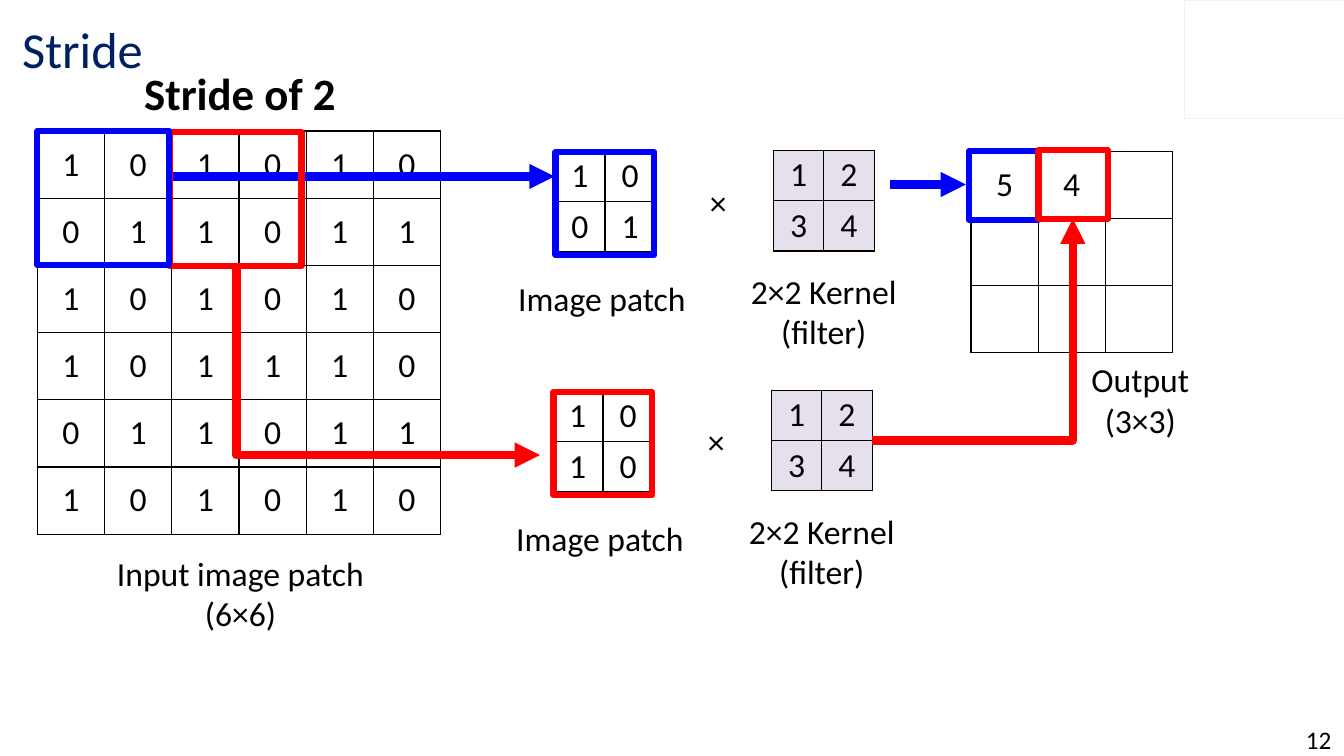
from pptx import Presentation
from pptx.dml.color import RGBColor
from pptx.enum.shapes import MSO_CONNECTOR, MSO_SHAPE
from pptx.enum.text import MSO_ANCHOR, PP_ALIGN
from pptx.oxml import parse_xml
from pptx.oxml.ns import nsdecls
from pptx.util import Inches, Pt

BLUE, RED, LILAC = "0000FF", "FF0000", "E6E0EC"


def write(tf, text, size=24, color="000000", bold=False, align=PP_ALIGN.CENTER):
    for i, row in enumerate(text.split("\n")):
        p = tf.paragraphs[0] if i == 0 else tf.add_paragraph()
        p.alignment = align
        r = p.add_run()
        r.text = row
        for name, value in {"name": "Calibri", "size": Pt(size), "bold": bold}.items():
            setattr(r.font, name, value)
        r.font.color.rgb = RGBColor.from_string(color)


def stroke(sp, color, width):
    sp.line.color.rgb = RGBColor.from_string(color)
    sp.line.width = Pt(width)


prs = Presentation()
prs.slide_width, prs.slide_height = Inches(13.33), Inches(7.5)
s = prs.slides.add_slide(prs.slide_layouts[5])

title = s.shapes.title
place = {"left": 0.12, "top": 0.1, "width": 10.29, "height": 0.75}
for name, value in place.items():
    setattr(title, name, Inches(value))
title.text_frame.vertical_anchor = MSO_ANCHOR.MIDDLE
write(title.text_frame, "Stride", 36, "002060", align=PP_ALIGN.LEFT)

pair_offsets = [(0, 0), (-0.02, 2.38)]
patches = [["10", "01"], ["10", "10"]]
image = ["101010", "011011", "101010", "101110", "011011", "101010"]
tables = [(0.37, 1.3, 4, image, None), (9.63, 1.5, 2, ["54 ", "   ", "   "], None)]
labels = [
    (1.05, 5.43, 2.67, 0.91, "Input image patch\n(6×6)", 24, False),
    (10.72, 3.51, 1.18, 0.91, "Output\n(3×3)", 24, False),
    (1.32, 0.6, 2.12, 0.64, "Stride of 2", 32, True),
    (12.83, 7.17, 0.5, 0.33, "12", 18, False),
]
for (dx, dy), patch in zip(pair_offsets, patches):
    tables += [
        (7.67 + dx, 1.49 + dy, 1, ["12", "34"], LILAC),
        (5.5 + dx, 1.5 + dy, 1, patch, None),
    ]
    labels += [
        (6.94 + dx, 1.75 + dy, 0.37, 0.5, "×", 24, False),
        (5.03 + dx, 2.71 + dy, 1.88, 0.5, "Image patch", 24, False),
        (7.34 + dx, 2.63 + dy, 1.66, 0.91, "2×2 Kernel\n(filter)", 24, False),
    ]

for x, y, side, rows, fill in tables:
    n = len(rows)
    size = Inches(side)
    tbl = s.shapes.add_table(n, n, Inches(x), Inches(y), size, size).table
    tbl.first_row = tbl.horz_banding = False
    for i, row in enumerate(rows):
        tbl.rows[i].height = tbl.columns[i].width = Inches(side / n)
        for j, digit in enumerate(row):
            cell = tbl.cell(i, j)
            cell.vertical_anchor = MSO_ANCHOR.MIDDLE
            cell.margin_top = cell.margin_bottom = Inches(0.03)
            if fill:
                cell.fill.solid()
                cell.fill.fore_color.rgb = RGBColor.from_string(fill)
            else:
                cell.fill.background()
            if digit.strip():
                write(cell.text_frame, digit)
            tcPr = cell._tc.get_or_add_tcPr()
            for k, edge in enumerate("LRTB"):
                tcPr.insert(k, parse_xml(
                    f'<a:ln{edge} {nsdecls("a")} w="12700"><a:solidFill>'
                    f'<a:srgbClr val="000000"/></a:solidFill></a:ln{edge}>'))

arrows = []
for x1, y, x2 in [(1.68, 1.75, 5.5), (8.83, 1.83, 9.58)]:
    arrow = s.shapes.add_connector(
        MSO_CONNECTOR.STRAIGHT, Inches(x1), Inches(y), Inches(x2), Inches(y))
    arrows.append((arrow, BLUE))

frames = [
    (11.74, 0, 1.59, 1.17, "F2F2F2", 0.25),
    (5.51, 1.51, 0.98, 1.02, BLUE, 4.5),
    (5.49, 3.89, 0.98, 1.02, RED, 4.5),
    (9.61, 1.5, 0.69, 0.68, BLUE, 4.5),
    (10.3, 1.49, 0.69, 0.68, RED, 4.5),
    (1.68, 1.31, 1.31, 1.33, RED, 4.5),
    (0.37, 1.3, 1.31, 1.33, BLUE, 4.5),
]
for x, y, w, h, color, width in frames:
    sp = s.shapes.add_shape(
        MSO_SHAPE.RECTANGLE, Inches(x), Inches(y), Inches(w), Inches(h))
    sp.shadow.inherit = False
    sp.fill.background()
    stroke(sp, color, width)

bends = [
    (2.91, 2.07, 1.88, 3.01, {"rot": "16200000", "flipH": "1"}),
    (8.65, 2.17, 1.99, 2.2, {"flipV": "1"}),
]
for x, y, w, h, turn in bends:
    bend = s.shapes.add_connector(
        MSO_CONNECTOR.ELBOW, Inches(x), Inches(y), Inches(x + w), Inches(y + h))
    spPr = bend._element.spPr
    spPr.prstGeom.set("prst", "bentConnector2")
    for name, value in turn.items():
        spPr.xfrm.set(name, value)
    arrows.append((bend, RED))

for arrow, color in arrows:
    stroke(arrow, color, 6)
    arrow.line._get_or_add_ln().append(
        parse_xml(f'<a:tailEnd {nsdecls("a")} type="triangle"/>'))
    arrow._element.spPr.append(parse_xml(f'<a:effectLst {nsdecls("a")}/>'))

for x, y, w, h, text, size, bold in labels:
    tf = s.shapes.add_textbox(Inches(x), Inches(y), Inches(w), Inches(h)).text_frame
    tf.word_wrap = False
    tf.vertical_anchor = MSO_ANCHOR.MIDDLE
    write(tf, text, size, bold=bold)

prs.save("out.pptx")
